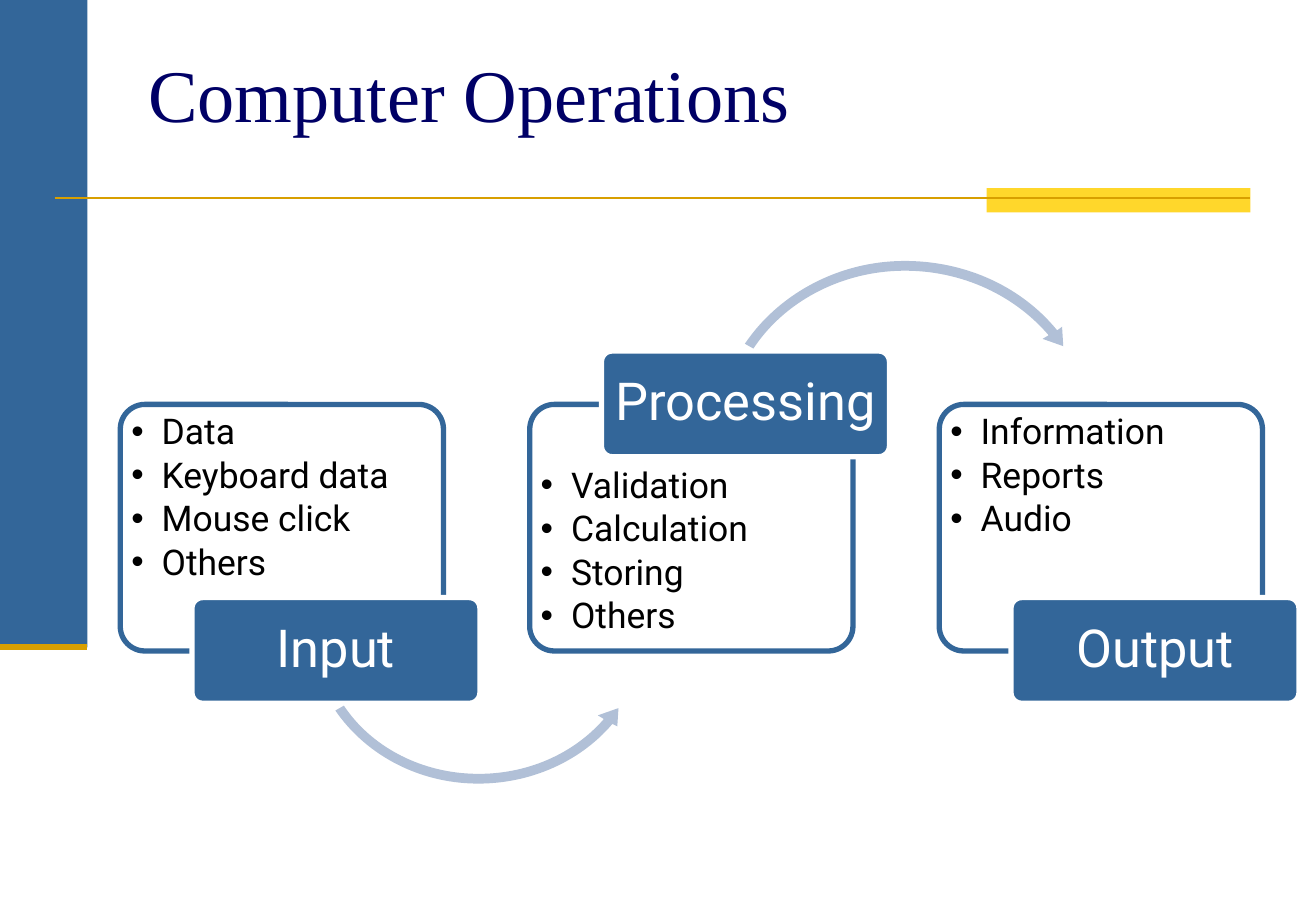
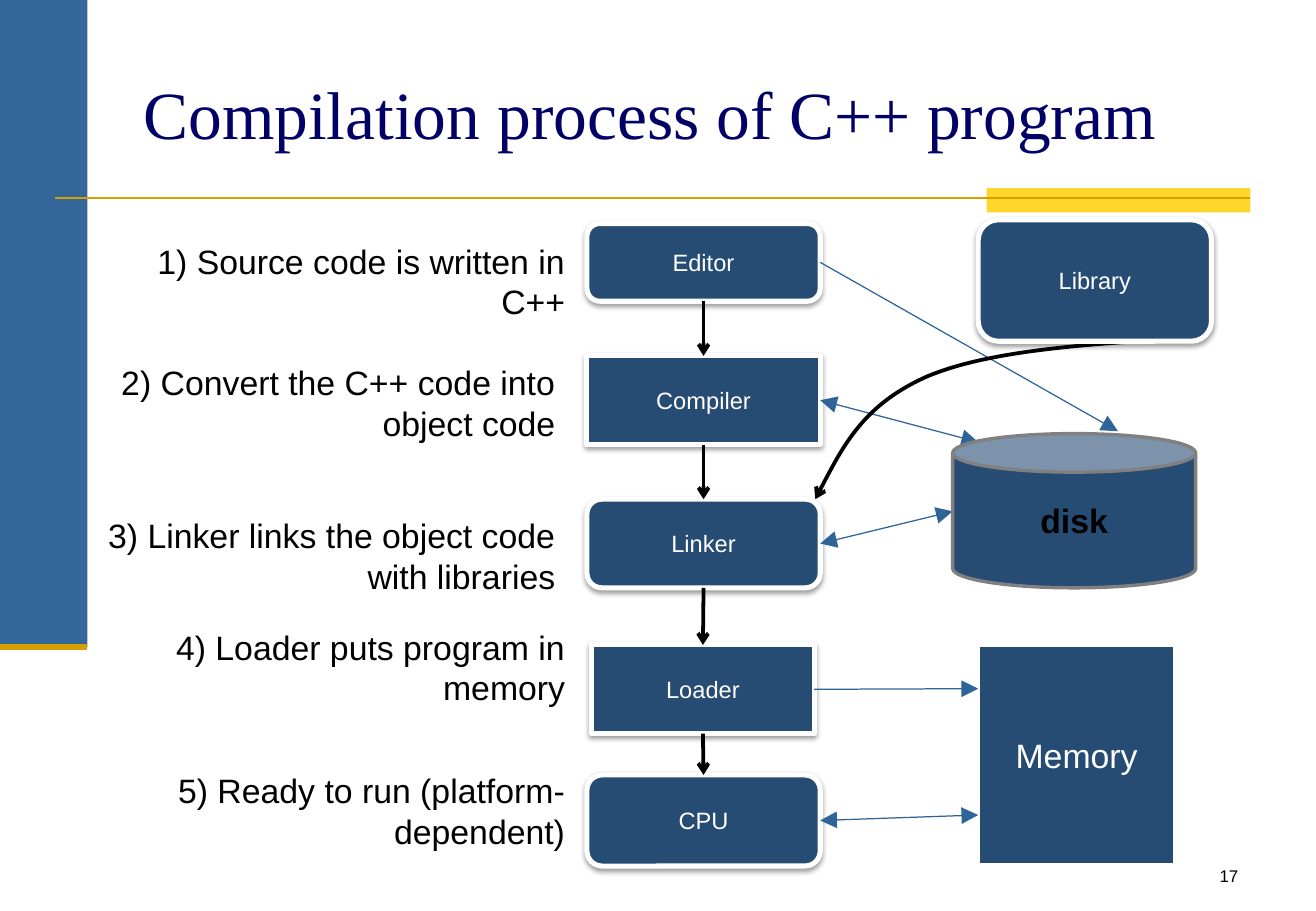
from itertools import pairwise

from lxml import etree
from pptx import Presentation, util as u
from pptx.dml.color import RGBColor
from pptx.enum import shapes as s, text as t
from pptx.oxml import ns

BLUE = RGBColor(0x33, 0x66, 0x99)
DARK_BLUE = RGBColor(0x26, 0x4C, 0x73)
LINK_BLUE = RGBColor(0x2F, 0x64, 0x98)
PALE_BLUE = RGBColor(0xB1, 0xC0, 0xD7)
NAVY = RGBColor(0x00, 0x00, 0x66)
GOLD = RGBColor(0xD8, 0x9F, 0x00)
YELLOW = RGBColor(0xFF, 0xD7, 0x2B)
GREY = RGBColor(0x80, 0x80, 0x80)
WHITE = RGBColor(0xFF, 0xFF, 0xFF)
BLACK = RGBColor(0x00, 0x00, 0x00)

LEFT, CENTER, RIGHT = t.PP_ALIGN.LEFT, t.PP_ALIGN.CENTER, t.PP_ALIGN.RIGHT
TOP, MIDDLE, BOTTOM = t.MSO_ANCHOR.TOP, t.MSO_ANCHOR.MIDDLE, t.MSO_ANCHOR.BOTTOM
SHAPE = s.MSO_SHAPE


def write(shape, lines, size, colour, font="Arial", bold=False, align=CENTER,
          anchor=MIDDLE, insets=(0.1, 0.05), spacing=None):
    """Fill a shape with one paragraph per line; insets are (sides, top and bottom)."""
    frame = shape.text_frame
    sides, ends = map(u.Inches, insets)
    frame_format = {"word_wrap": True, "auto_size": t.MSO_AUTO_SIZE.NONE,
                    "vertical_anchor": anchor, "margin_left": sides,
                    "margin_right": sides, "margin_top": ends, "margin_bottom": ends}
    for name, value in frame_format.items():
        setattr(frame, name, value)
    frame.text = "\n".join(lines)
    for paragraph in frame.paragraphs:
        paragraph.alignment = align
        paragraph.line_spacing = spacing
        run_font = paragraph.runs[0].font
        for name, value in {"name": font, "size": u.Pt(size), "bold": bold}.items():
            setattr(run_font, name, value)
        run_font.color.rgb = colour


def add_line(slide, start, end, colour, width, head=None, tail=None):
    line = slide.shapes.add_connector(
        s.MSO_CONNECTOR.STRAIGHT, *map(u.Inches, (*start, *end)))
    line.line.color.rgb = colour
    line.line.width = u.Pt(width)
    properties = line.element.spPr
    for tag, kind in (("a:headEnd", head), ("a:tailEnd", tail)):
        if kind:
            scale = "lg" if kind == "triangle" else "med"
            etree.SubElement(properties.find(ns.qn("a:ln")), ns.qn(tag),
                             type=kind, w=scale, len=scale)
    etree.SubElement(properties, ns.qn("a:effectLst"))
    return line


presentation = Presentation()
presentation.slide_width = u.Inches(10.83)
presentation.slide_height = u.Inches(7.5)
layouts = presentation.slide_layouts
operations = presentation.slides.add_slide(layouts.get_by_name("Comparison"))
compilation = presentation.slides.add_slide(layouts.get_by_name("Title Only"))

# Bands and rules shared through the slide master
decorations = []
for box, colour in (((0, 0, 0.72, 5.33), BLUE), ((8.12, 1.55, 2.17, 0.2), YELLOW)):
    band = operations.shapes.add_shape(SHAPE.RECTANGLE, *map(u.Inches, box))
    band.shadow.inherit = False
    band.fill.solid()
    band.fill.fore_color.rgb = colour
    band.line.fill.background()
    decorations.append(band)
decorations.append(add_line(operations, (0.45, 1.63), (10.29, 1.63), GOLD, 1.5))
decorations.append(add_line(operations, (0, 5.33), (0.72, 5.33), GOLD, 3.5))
master_tree = presentation.slide_master.shapes.element
for number, decoration in enumerate(decorations):
    decoration.element.xpath("./*/p:cNvPr")[0].set("id", str(100 + number))
    master_tree.insert(2 + number, decoration.element)

# Titles
for slide, title, box, size, anchor, insets in (
    (operations, "Computer Operations", (1.17, 0.3, 7.63, 0.83), 44, BOTTOM, (0.05, 0)),
    (compilation, "Compilation process of C++ program", (1.08, 0.3, 9.21, 1.25),
     40, MIDDLE, (0.1, 0.05)),
):
    shape = slide.shapes.title
    shape.left, shape.top, shape.width, shape.height = map(u.Inches, box)
    write(shape, [title], size, NAVY, "Times New Roman", align=LEFT,
          anchor=anchor, insets=insets)

# Computer operations: three cards, each with a list and a label
stages = (
    ("Input", 1, ["Data", "Keyboard data", "Mouse click", "Others"], 3.37, 4.92),
    ("Processing", 2, ["Validation", "Calculation", "Storing", "Others"], 3.81, 2.89),
    ("Output", 4, ["Information", "Reports", "Audio"], 3.37, 4.92),
)
for column, (name, index, items, list_top, label_top) in enumerate(stages):
    left = 0.99 + 3.37 * column
    for box, fill, outline in (
        ((left, 3.33, 2.66, 2.03), WHITE, BLUE),
        ((left + 0.59, label_top, 2.37, 0.87), BLUE, WHITE),
    ):
        shape = operations.shapes.add_shape(
            SHAPE.ROUNDED_RECTANGLE, *map(u.Inches, box))
        shape.adjustments[0] = 0.1
        shape.shadow.inherit = False
        shape.fill.solid()
        shape.fill.fore_color.rgb = fill
        shape.line.color.rgb = outline
        shape.line.width = u.Pt(3.15)
        if fill == WHITE:
            colour_element = shape.element.spPr.find(
                ns.qn("a:solidFill")).find(ns.qn("a:srgbClr"))
            etree.SubElement(colour_element, ns.qn("a:alpha"), val="90000")
    label = shape
    write(label, [name], 31, WHITE, "Roboto", insets=(0.06, 0.04), spacing=0.9)

    bullets = operations.placeholders[index]
    bullets.left, bullets.top, bullets.width, bullets.height = map(
        u.Inches, (left + 0.05, list_top, 2.56, 1.5))
    write(bullets, items, 21, BLACK, "Roboto", align=LEFT, anchor=TOP,
          insets=(0.04, 0.04), spacing=0.9)
    for position, paragraph in enumerate(bullets.text_frame.paragraphs):
        paragraph.level = 1
        paragraph.space_before = u.Pt(3.1 if position else 0)
        properties = paragraph._p.get_or_add_pPr()
        properties.set("marL", str(u.Inches(0.25)))
        properties.set("indent", str(u.Inches(-0.25)))
        etree.SubElement(properties, ns.qn("a:buChar"), char="•")
    label.element.addprevious(bullets.element)
unused = operations.placeholders[3].element
unused.getparent().remove(unused)

# Compilation process: nodes
ROUNDED, SQUARE = SHAPE.FLOWCHART_ALTERNATE_PROCESS, SHAPE.FLOWCHART_PROCESS
steps = ("Editor", "Compiler", "Linker", "Loader", "CPU")
nodes = {}
for name, preset, box, size, colour, outline, width in (
    ("Editor", ROUNDED, (4.83, 1.84, 1.92, 0.64), 14, WHITE, WHITE, 3),
    ("Compiler", SQUARE, (4.83, 2.93, 1.92, 0.73), 14, WHITE, WHITE, 3),
    ("Linker", ROUNDED, (4.83, 4.11, 1.92, 0.73), 14, WHITE, WHITE, 3),
    ("Loader", SQUARE, (4.87, 5.31, 1.83, 0.73), 14, WHITE, WHITE, 3),
    ("CPU", ROUNDED, (4.83, 6.38, 1.92, 0.75), 14, WHITE, WHITE, 3),
    ("Library", ROUNDED, (8.05, 1.81, 1.92, 1), 14, WHITE, WHITE, 3),
    ("disk", SHAPE.CAN, (7.84, 3.57, 2, 1.27), 20, BLACK, GREY, 2),
    ("Memory", SHAPE.RECTANGLE, (8.05, 5.31, 1.62, 1.81), 20, WHITE, WHITE, 2),
):
    node = compilation.shapes.add_shape(preset, *map(u.Inches, box))
    node.shadow.inherit = False
    node.fill.solid()
    node.fill.fore_color.rgb = DARK_BLUE
    node.line.color.rgb = outline
    node.line.width = u.Pt(width)
    write(node, [name], size, colour, bold=name == "disk")
    if preset in (ROUNDED, SQUARE):
        effects = node.element.spPr.find(ns.qn("a:effectLst"))
        shadow = etree.SubElement(
            effects, ns.qn("a:outerShdw"), blurRad=str(u.Pt(3.1)),
            dist=str(u.Pt(1.6)), dir="5400000", rotWithShape="0")
        shade = etree.SubElement(shadow, ns.qn("a:srgbClr"), val=str(BLACK))
        etree.SubElement(shade, ns.qn("a:alpha"), val="38000")
    nodes[name] = node

# Compilation process: connectors
for upper, lower in pairwise(steps):
    arrow = add_line(compilation, (0, 0), (0, 0), BLACK, 2.25, tail="arrow")
    arrow.begin_connect(nodes[upper], 2)
    arrow.end_connect(nodes[lower], 0)
for name, end, head in (
    ("Editor", (9.2, 3.55), None),
    ("Compiler", (8.05, 3.64), "triangle"),
    ("Linker", (7.84, 4.21), "triangle"),
    ("Loader", (8.05, 5.67), None),
    ("CPU", (8.05, 6.71), "triangle"),
):
    link = add_line(compilation, (0, 0), end, LINK_BLUE, 0.75, head, "triangle")
    link.begin_connect(nodes[name], 3)

# Curved arrows: a segment of one point is straight, of three points a Bézier curve
input_arrow = [
    [(2.76, 5.85)], [(2.83, 5.81)],
    [(3.05, 6.14), (3.44, 6.35), (3.87, 6.37)],
    [(4.29, 6.39), (4.7, 6.23), (4.97, 5.92)],
    [(4.92, 5.89)], [(5.09, 5.83)], [(5.08, 5.98)], [(5.04, 5.96)],
    [(4.76, 6.29), (4.32, 6.47), (3.87, 6.45)],
    [(3.41, 6.43), (3, 6.2), (2.76, 5.85)],
]
output_arrow = [
    [(6.13, 2.83)],
    [(6.4, 2.43), (6.87, 2.17), (7.38, 2.15)],
    [(7.9, 2.13), (8.39, 2.34), (8.7, 2.72)],
    [(8.74, 2.69)], [(8.75, 2.85)], [(8.58, 2.79)], [(8.63, 2.76)],
    [(8.33, 2.41), (7.87, 2.21), (7.38, 2.23)],
    [(6.9, 2.25), (6.45, 2.49), (6.2, 2.87)],
]
library_arrow = [
    [(9.83, 2.78)],
    [(8.99, 2.83), (8.15, 2.88), (7.63, 3.1)],
    [(7.11, 3.33), (6.91, 3.72), (6.71, 4.11)],
]
for slide, box, segments, closed in (
    (operations, (2.5, 3.84, 2.88, 2.66), input_arrow, True),
    (operations, (5.84, 2.1, 3.22, 2.98), output_arrow, True),
    (compilation, (6.71, 2.78, 3.12, 1.34), library_arrow, False),
):
    left, top, width, height = map(u.Inches, box)
    builder = slide.shapes.build_freeform(left, top)
    builder.add_line_segments([(left + width, top + height)], close=False)
    curve = builder.convert_to_shape()
    outline = next(curve.element.spPr.iter(ns.qn("a:path")))
    for child in list(outline):
        outline.remove(child)
    for number, segment in enumerate(segments):
        tag = "a:moveTo" if number == 0 else "a:lnTo" if len(segment) == 1 else "a:cubicBezTo"
        command = etree.SubElement(outline, ns.qn(tag))
        for x, y in segment:
            etree.SubElement(command, ns.qn("a:pt"), x=str(u.Inches(x) - left),
                             y=str(u.Inches(y) - top))
    curve.shadow.inherit = False
    if closed:
        etree.SubElement(outline, ns.qn("a:close"))
        curve.fill.solid()
        curve.fill.fore_color.rgb = PALE_BLUE
        curve.line.fill.background()
    else:
        curve.fill.background()
        curve.line.color.rgb = BLACK
        curve.line.width = u.Pt(2.25)
        etree.SubElement(curve.element.spPr.find(ns.qn("a:ln")),
                         ns.qn("a:tailEnd"), type="arrow")

# The library and the disk lie over the arrows that meet them
for name in ("Library", "disk"):
    compilation.shapes.element.append(nodes[name].element)

# Compilation process: explanations and slide number
for caption, box, size in (
    ("1) Source code is written in C++", (0.83, 1.93, 3.92, 0.77), 20),
    ("2) Convert the C++ code into object code", (0.75, 2.93, 3.92, 0.77), 20),
    ("3) Linker links the object code with libraries", (0.42, 4.19, 4.25, 0.77), 20),
    ("4) Loader puts program in memory", (0.75, 5.11, 4, 0.77), 20),
    ("5) Ready to run (platform-dependent)", (0.83, 6.29, 3.92, 0.77), 20),
    ("17", (8.03, 7.08, 2.26, 0.25), 10),
):
    text_box = compilation.shapes.add_textbox(*map(u.Inches, box))
    write(text_box, [caption], size, BLACK, align=RIGHT, anchor=TOP)

presentation.save("out.pptx")
